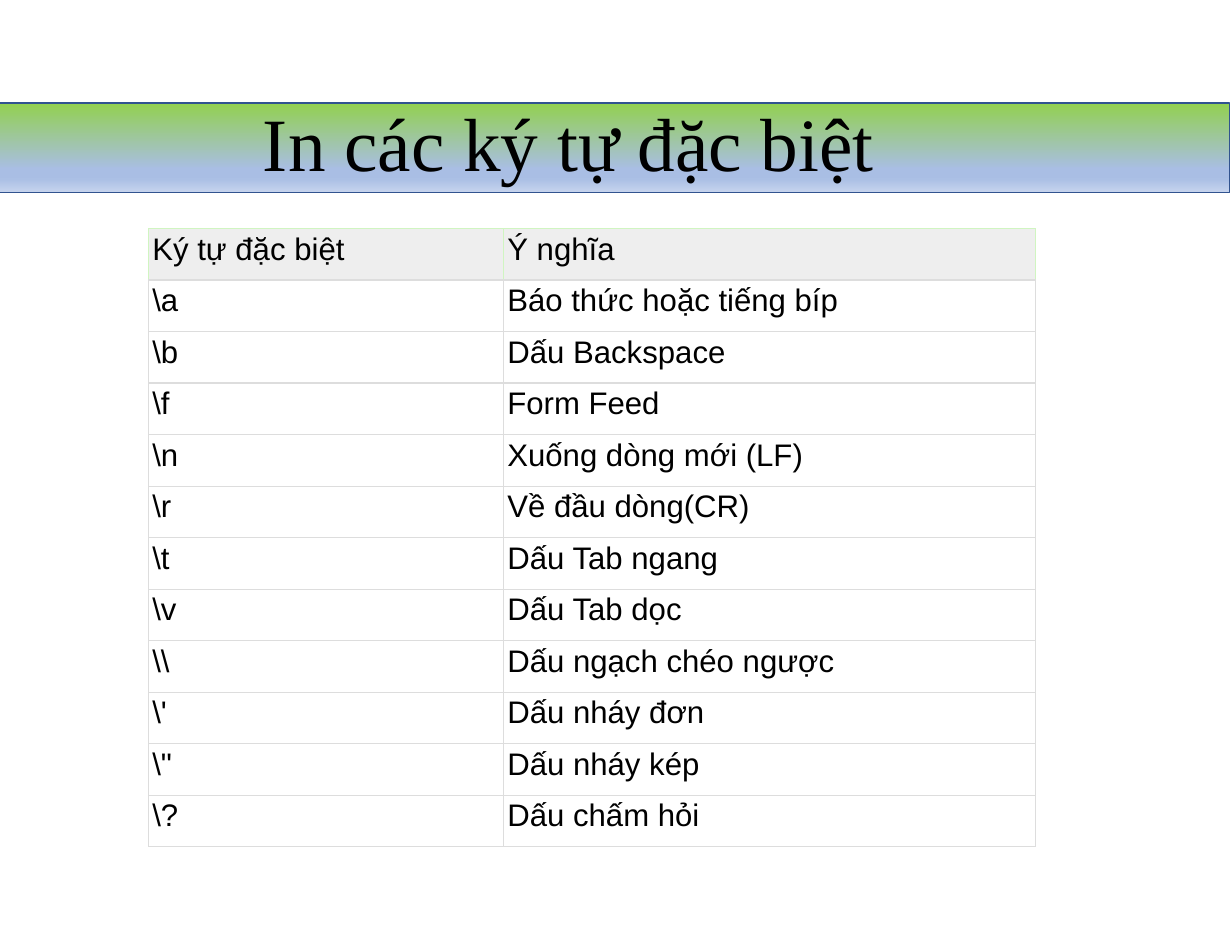
from dataclasses import dataclass

import lxml.etree
import pptx
import pptx.dml.color
import pptx.enum.shapes
import pptx.enum.text
import pptx.oxml.ns
import pptx.util

Inches = pptx.util.Inches
Pt = pptx.util.Pt
qn = pptx.oxml.ns.qn

PAGE_WIDTH, PAGE_HEIGHT = 11, 8.5
COLOURS = {
    "text": "000000",
    "header": "EEEEEE",
    "body": "FFFFFF",
    "grid": "DDDDDD",
    "header_edge": "D0F5C1",
    "band_edge": "31538F",
}
BAND_STOPS = ((0, "92D050"), (74, "A9BEE4"), (83, "A9BEE4"), (100, "C5D3ED"))
COLUMN_WIDTHS = (3.17, 4.75)
ROW_HEIGHT = 0.46
CELL_INSET = 0.03


@dataclass(frozen=True)
class Escape:
    code: str
    meaning: str


HEADER = Escape("Ký tự đặc biệt", "Ý nghĩa")
ESCAPES = (
    Escape(r"\a", "Báo thức hoặc tiếng bíp"),
    Escape(r"\b", "Dấu Backspace"),
    Escape(r"\f", "Form Feed"),
    Escape(r"\n", "Xuống dòng mới (LF)"),
    Escape(r"\r", "Về đầu dòng(CR)"),
    Escape(r"\t", "Dấu Tab ngang"),
    Escape(r"\v", "Dấu Tab dọc"),
    Escape(r"\\", "Dấu ngạch chéo ngược"),
    Escape(r"\'", "Dấu nháy đơn"),
    Escape(r"\"", "Dấu nháy kép"),
    Escape(r"\?", "Dấu chấm hỏi"),
)


def rgb(name: str) -> pptx.dml.color.RGBColor:
    return pptx.dml.color.RGBColor.from_string(COLOURS[name])


def write(frame, text: str, *, font: str, size: float, colour: str = "text",
          spacing: float = 1.0) -> None:
    para = frame.paragraphs[0]
    para.line_spacing = spacing
    span = para.add_run()
    span.text = text
    span.font.name = font
    span.font.size = Pt(size)
    span.font.color.rgb = rgb(colour)


def set_borders(cell, edges: dict[str, str]) -> None:
    """Give each side (L, R, T, B) its colour; borders must precede the fill."""
    properties = cell._tc.get_or_add_tcPr()
    for index, (side, colour) in enumerate(edges.items()):
        line = lxml.etree.Element(qn(f"a:ln{side}"), w=str(Pt(0.75)))
        fill = lxml.etree.SubElement(line, qn("a:solidFill"))
        lxml.etree.SubElement(fill, qn("a:srgbClr"), val=COLOURS[colour])
        properties.insert(index, line)


def draw_band(page) -> None:
    band = page.shapes.add_shape(
        pptx.enum.shapes.MSO_SHAPE.RECTANGLE,
        Inches(-0.02), Inches(0.92), Inches(PAGE_WIDTH), Inches(0.8))
    band.shadow.inherit = False
    band.line.color.rgb = rgb("band_edge")
    band.line.width = Pt(1)
    band.fill.gradient()
    band.fill.gradient_angle = 270
    stops = band._element.spPr.find(f".//{qn('a:gsLst')}")
    for stop in list(stops):
        stops.remove(stop)
    for percent, colour in BAND_STOPS:
        stop = lxml.etree.SubElement(stops, qn("a:gs"), pos=str(percent * 1000))
        lxml.etree.SubElement(stop, qn("a:srgbClr"), val=colour)


def draw_title(page, text: str) -> None:
    box = page.shapes.add_textbox(Inches(2.25), Inches(0.4), Inches(6.8), Inches(1.83))
    frame = box.text_frame
    frame.word_wrap = True
    frame.vertical_anchor = pptx.enum.text.MSO_ANCHOR.MIDDLE
    write(frame, text, font="Times New Roman", size=48.4, spacing=0.9)


def draw_escape_table(page, rows: tuple[Escape, ...]) -> None:
    table = page.shapes.add_table(
        len(rows), len(COLUMN_WIDTHS), Inches(1.33), Inches(2.04),
        Inches(sum(COLUMN_WIDTHS)), Inches(ROW_HEIGHT * len(rows))).table
    for column, width in zip(table.columns, COLUMN_WIDTHS):
        column.width = Inches(width)
    for row_index, escape in enumerate(rows):
        is_header = row_index == 0
        edge = "header_edge" if is_header else "grid"
        table.rows[row_index].height = Inches(ROW_HEIGHT)
        for cell, text in zip(table.rows[row_index].cells, (escape.code, escape.meaning)):
            cell.margin_left = cell.margin_right = Inches(CELL_INSET)
            cell.margin_top = cell.margin_bottom = Inches(CELL_INSET)
            cell.fill.solid()
            cell.fill.fore_color.rgb = rgb("header" if is_header else "body")
            set_borders(cell, {"L": edge, "R": edge, "T": edge, "B": "grid"})
            write(cell.text_frame, text, font="Arial", size=20)


def main() -> None:
    deck = pptx.Presentation()
    deck.slide_width, deck.slide_height = Inches(PAGE_WIDTH), Inches(PAGE_HEIGHT)
    page = deck.slides.add_slide(deck.slide_layouts[6])
    draw_escape_table(page, (HEADER, *ESCAPES))
    draw_band(page)
    draw_title(page, "In các ký tự đặc biệt")
    deck.save("out.pptx")


if __name__ == "__main__":
    main()
